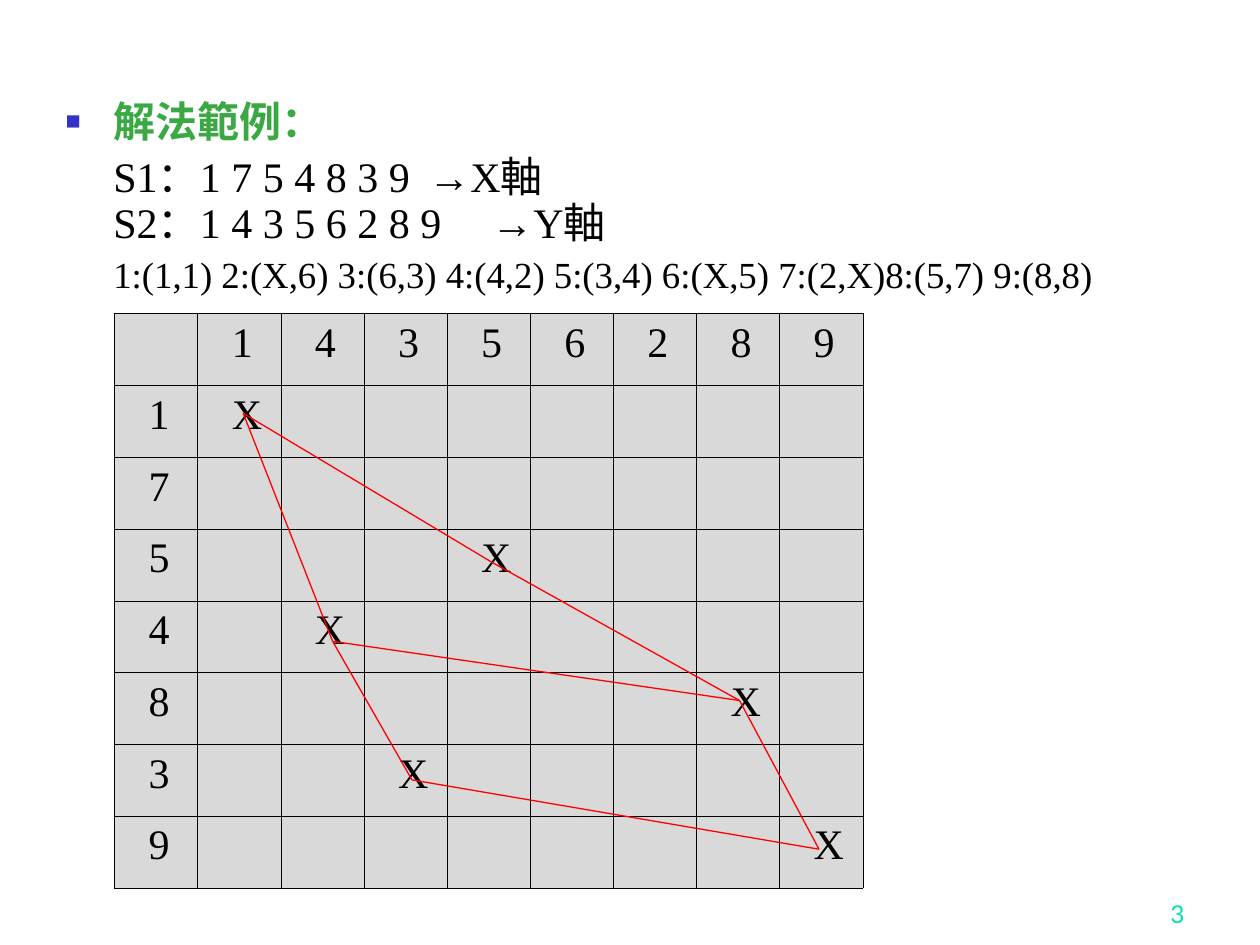
from typing import NamedTuple

from lxml.etree import SubElement
from pptx import Presentation
from pptx.dml.color import RGBColor
from pptx.enum.shapes import MSO_CONNECTOR as Link
from pptx.enum.text import MSO_ANCHOR as Anchor, MSO_AUTO_SIZE as Fit, PP_ALIGN as Align
from pptx.oxml.ns import qn
from pptx.util import Inches, Pt

SERIF = "Times New Roman"
BLACK, GREEN, RED, GRAY = "000000", "3BA943", "FF0000", "D9D9D9"
S1, S2 = "1754839", "14356289"
LEFT, TOP, COL, ROW = 0.91, 2.49, 0.66, 0.57
MATCHES = "1:(1,1) 2:(X,6) 3:(6,3) 4:(4,2) 5:(3,4) 6:(X,5) 7:(2,X)8:(5,7) 9:(8,8)"


class Point(NamedTuple):
    x: float
    y: float


class Style(NamedTuple):
    size: float = 24
    font: str = SERIF
    color: str = BLACK
    bold: bool = False


# Where the marks of the common numbers lie, by number
MARKS = {
    "1": Point(1.93, 3.28), "5": Point(3.9, 4.46), "4": Point(2.64, 5.09),
    "8": Point(5.87, 5.56), "3": Point(3.27, 6.19), "9": Point(6.5, 6.74),
}
EDGES = ["14", "43", "39", "98", "85", "15", "48"]


def paint(hue: str) -> RGBColor:
    return RGBColor.from_string(hue)


def node(parent, tag: str, **attrs: str):
    return SubElement(parent, qn(f"a:{tag}"), attrs)


def write(para, text: str, style: Style = Style()) -> None:
    run = para.add_run()
    run.text = text
    looks = {"size": Pt(style.size), "name": style.font, "bold": style.bold}
    for key, value in looks.items():
        setattr(run.font, key, value)
    run.font.color.rgb = paint(style.color)


def layout(para, before: float, bullet: bool = False, tab: float = 0) -> None:
    """Set indent, bullet, tab stop and spacing of a body paragraph."""
    props = para._p.get_or_add_pPr()
    props.set("marL", str(Inches(0.38)))
    props.set("indent", str(Inches(-0.38 if bullet else 0)))
    if bullet:
        node(node(props, "buClr"), "srgbClr", val="3333CC")
        node(props, "buSzPct", val="60000")
        node(props, "buChar", char="■")
    else:
        node(props, "buNone")
    if tab:
        node(node(props, "tabLst"), "tab", pos=str(Inches(tab)), algn="l")
    para.line_spacing = 0.9
    para.space_before = Pt(before)


def fill_body(body) -> None:
    body.left, body.top = Inches(0.42), Inches(0.75)
    body.width, body.height = Inches(8.83), Inches(6.15)
    frame = body.text_frame
    frame.auto_size = Fit.NONE
    head = frame.paragraphs[0]
    layout(head, 0, bullet=True)
    write(head, "解法範例：", Style(color=GREEN, bold=True))

    rows = frame.add_paragraph()
    layout(rows, 6, tab=3.43)
    for name, row, axis in [("S1", S1, "X"), ("S2", S2, "Y")]:
        if name == "S2":
            rows.add_line_break()
        write(rows, f"{name}：{' '.join(row)}\t")
        write(rows, "→", Style(font="Arial"))
        write(rows, f"{axis}軸")

    pairs = frame.add_paragraph()
    layout(pairs, 5.2)
    write(pairs, MATCHES, Style(size=21))


def border(cell, side: str, width: float) -> None:
    line = node(cell._tc.get_or_add_tcPr(), f"ln{side}", w=str(Pt(width)))
    node(node(line, "solidFill"), "srgbClr", val=BLACK)


def label(row: int, col: int) -> str:
    if row and col:
        return "X" if S1[row - 1] == S2[col - 1] else ""
    if row:
        return S1[row - 1]
    return S2[col - 1] if col else ""


def add_grid(slide) -> None:
    rows, cols = len(S1) + 1, len(S2) + 1
    grid = slide.shapes.add_table(
        rows, cols, Inches(LEFT), Inches(TOP), Inches(COL * cols), Inches(ROW * rows)
    ).table
    grid.first_row = grid.horz_banding = False
    for r in range(rows):
        for c in range(cols):
            cell = grid.cell(r, c)
            for side in "LRTB":
                heavy = (r, side) in [(0, "B"), (1, "T")]
                border(cell, side, 0.96 if heavy else 0.45)
            cell.fill.solid()
            cell.fill.fore_color.rgb = paint(GRAY)
            cell.margin_left = Inches(0.27)
            text = label(r, c)
            if text:
                write(cell.text_frame.paragraphs[0], text)


def add_edge(slide, start: Point, end: Point) -> None:
    ends = [Inches(v) for v in (*start, *end)]
    edge = slide.shapes.add_connector(Link.STRAIGHT, *ends)
    edge.line.color.rgb = paint(RED)
    edge.line.width = Pt(0.75)
    node(edge._element.spPr, "effectLst")


def add_number(slide) -> None:
    box = slide.shapes.add_textbox(Inches(7.42), Inches(6.92), Inches(2.08), Inches(0.5))
    frame = box.text_frame
    frame.word_wrap = True
    frame.vertical_anchor = Anchor.BOTTOM
    para = frame.paragraphs[0]
    para.alignment = Align.RIGHT
    write(para, "3", Style(14, "Lato", "00E4A8"))


def main() -> None:
    deck = Presentation()
    deck.slide_width, deck.slide_height = Inches(10), Inches(7.5)
    slide = deck.slides.add_slide(deck.slide_layouts[1])
    title = slide.shapes.title._element
    title.getparent().remove(title)
    add_number(slide)
    fill_body(slide.placeholders[1])
    add_grid(slide)
    for start, end in EDGES:
        add_edge(slide, MARKS[start], MARKS[end])
    deck.save("out.pptx")


if __name__ == "__main__":
    main()
